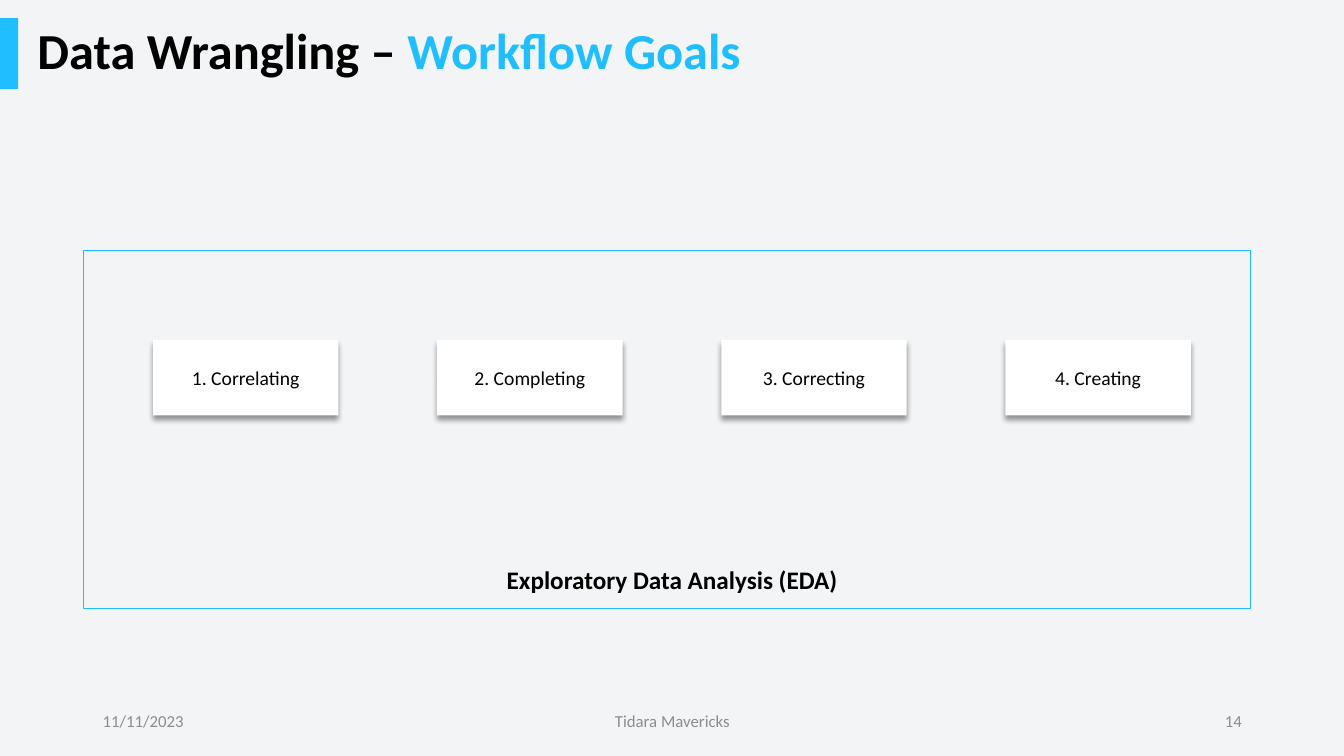
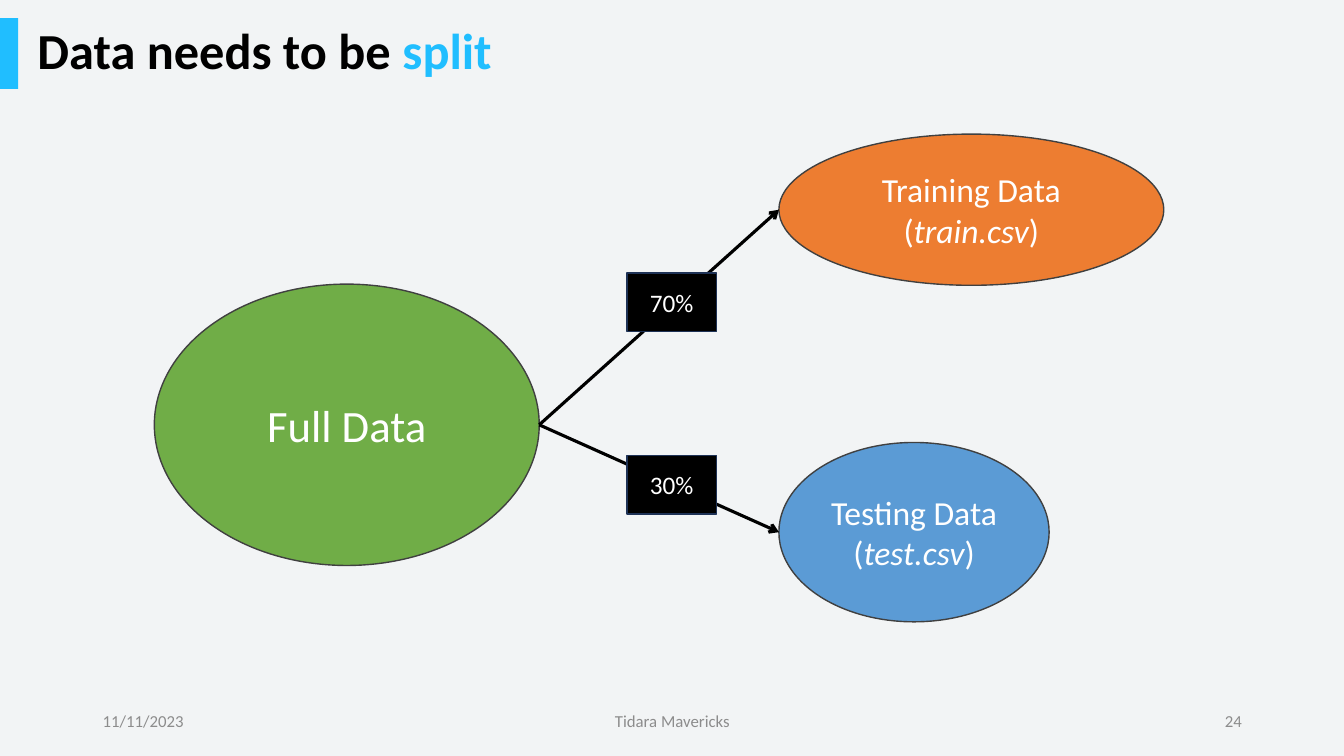
from dataclasses import dataclass

from lxml.etree import SubElement
from pptx import Presentation
from pptx.dml.color import RGBColor
from pptx.enum.shapes import MSO_CONNECTOR, MSO_SHAPE
from pptx.enum.text import MSO_ANCHOR, MSO_AUTO_SIZE, PP_ALIGN
from pptx.oxml.ns import qn
from pptx.util import Cm, Pt


@dataclass(frozen=True)
class Theme:
    """Colours, font and type sizes shared by the slides."""
    font: str = "Calibri"
    background: str = "F2F4F5"
    accent: str = "20BEFF"
    black: str = "000000"
    white: str = "FFFFFF"
    muted: str = "8C8C8C"
    outline: str = "404040"
    tag_line: str = "1E3256"
    full: str = "70AD47"
    training: str = "ED7D31"
    testing: str = "5B9BD5"
    title_size: int = 36
    hero_size: int = 32
    node_size: int = 24
    label_size: int = 18
    step_size: int = 14
    footer_size: int = 12


class Deck:
    """Holds the style and the current slide, and adds elements to it."""

    def __init__(self, theme):
        """Start a wide presentation with the theme's background."""
        self.theme = theme
        self.prs = Presentation()
        self.prs.slide_width, self.prs.slide_height = Cm(33.87), Cm(19.05)
        fill = self.prs.slide_master.background.fill
        fill.solid()
        fill.fore_color.rgb = RGBColor.from_string(theme.background)
        self.slide = None

    def fill_text(self, tf, paragraphs, size, color, align=PP_ALIGN.CENTER, **base):
        """Fill a text frame; each paragraph is a list of (text, format) runs."""
        tf.word_wrap = True
        for i, runs in enumerate(paragraphs):
            p = tf.add_paragraph() if i else tf.paragraphs[0]
            p.alignment = align
            for text, extra in runs:
                r = p.add_run()
                r.text = text
                values = {"name": self.theme.font, "size": Pt(size),
                          "color": color, **base, **extra}
                r.font.color.rgb = RGBColor.from_string(values.pop("color"))
                for name, value in values.items():
                    setattr(r.font, name, value)

    def new_slide(self, title, highlight, number):
        """Add a slide with its two-colour title, band and footer."""
        t = self.theme
        self.slide = self.prs.slides.add_slide(self.prs.slide_layouts[5])
        sp = self.slide.shapes.title
        box = {"left": Cm(0.69), "top": Cm(0.46),
               "width": Cm(26.24), "height": Cm(1.78)}
        for name, value in box.items():
            setattr(sp, name, value)
        tf = sp.text_frame
        self.fill_text(tf, [[(title, {}), (highlight, {"color": t.accent})]],
                       t.title_size, t.black, PP_ALIGN.LEFT, bold=True)
        tf.auto_size = MSO_AUTO_SIZE.NONE
        tf.vertical_anchor = MSO_ANCHOR.MIDDLE
        tf.paragraphs[0].line_spacing = 0.9
        footers = [(2.34, 7.62, "11/11/2023", PP_ALIGN.LEFT),
                   (11.23, 11.43, "Tidara Mavericks", PP_ALIGN.CENTER),
                   (23.93, 7.62, number, PP_ALIGN.RIGHT)]
        for x, width, text, align in footers:
            footer = self.text((x, 17.65, width, 1.02), text, t.footer_size,
                               t.muted, align=align)
            footer.text_frame.vertical_anchor = MSO_ANCHOR.MIDDLE
        self.shape(MSO_SHAPE.RECTANGLE, (0, 0.46, 0.46, 1.78), fill=t.accent)

    def group(self):
        """Add an empty group and return its shapes."""
        return self.slide.shapes.add_group_shape().shapes

    def text(self, box, text, size, color, into=None, **fmt):
        """Add a text box with one run."""
        sp = (into or self.slide.shapes).add_textbox(*map(Cm, box))
        self.fill_text(sp.text_frame, [[(text, {})]], size, color, **fmt)
        return sp

    def shape(self, kind, box, fill=None, line=None, into=None):
        """Add a preset shape; no colour means no fill or no line."""
        # An empty group is falsy, so compare with None.
        shapes = self.slide.shapes if into is None else into
        sp = shapes.add_shape(kind, *map(Cm, box))
        sp.shadow.inherit = False
        for part, color in ((sp.fill, fill), (sp.line.fill, line)):
            if color:
                part.solid()
                part.fore_color.rgb = RGBColor.from_string(color)
            else:
                part.background()
        if line:
            sp.line.width = Pt(1)
        return sp

    def card(self, box, text, into):
        """Add a white card with a soft shadow below it."""
        t = self.theme
        sp = self.shape(MSO_SHAPE.RECTANGLE, box, fill=t.white, into=into)
        effects = sp._element.spPr.find(qn("a:effectLst"))
        shadow = SubElement(effects, qn("a:outerShdw"), blurRad=str(Pt(4)),
                            dist=str(Pt(3)), dir="5400000", rotWithShape="0")
        color = SubElement(shadow, qn("a:srgbClr"), val=t.black)
        SubElement(color, qn("a:alpha"), val="40000")
        self.fill_text(sp.text_frame, [[(text, {})]], t.step_size, t.black)

    def node(self, box, paragraphs, size, fill):
        """Add an outlined ellipse with white text."""
        sp = self.shape(MSO_SHAPE.OVAL, box, fill, self.theme.outline)
        self.fill_text(sp.text_frame, paragraphs, size, self.theme.white)
        return sp

    def tag(self, box, text):
        """Add a black label."""
        t = self.theme
        sp = self.shape(MSO_SHAPE.RECTANGLE, box, t.black, t.tag_line)
        self.fill_text(sp.text_frame, [[(text, {})]], t.label_size, t.white)

    def arrow(self, source, target):
        """Draw an arrow from the right of one shape to the left of another."""
        cxn = self.slide.shapes.add_connector(
            MSO_CONNECTOR.STRAIGHT,
            source.left + source.width, source.top + source.height // 2,
            target.left, target.top + target.height // 2)
        cxn.line.color.rgb = RGBColor.from_string(self.theme.black)
        cxn.line.width = Pt(2.25)
        props = cxn._element.spPr
        SubElement(props.find(qn("a:ln")), qn("a:tailEnd"), type="arrow")
        SubElement(props, qn("a:effectLst"))


def workflow_slide(deck):
    """Build the four workflow goals inside the EDA frame."""
    t = deck.theme
    deck.new_slide("Data Wrangling – ", "Workflow Goals", "14")
    eda = deck.group()
    deck.shape(MSO_SHAPE.RECTANGLE, (2.11, 6.32, 29.41, 9.02),
               line=t.accent, into=eda)
    caption = deck.text((11.99, 14.1, 9.9, 1.02),
                        "Exploratory Data Analysis (EDA)",
                        t.label_size, t.black, into=eda, bold=True)
    caption.text_frame.auto_size = MSO_AUTO_SIZE.SHAPE_TO_FIT_TEXT
    steps = deck.group()
    goals = ("Correlating", "Completing", "Correcting", "Creating")
    for i, goal in enumerate(goals):
        deck.card((3.86 + 7.16 * i, 8.56, 4.67, 1.91), f"{i + 1}. {goal}", steps)


def split_slide(deck):
    """Build the split of the full data into training and testing sets."""
    t = deck.theme
    deck.new_slide("Data needs to be ", "split", "24")
    full = deck.node((3.89, 7.16, 9.7, 7.09), [[("Full Data", {})]],
                     t.hero_size, t.full)
    subsets = [((19.63, 3.38, 9.7, 3.81), "Training Data", "train.csv", t.training),
               ((19.63, 11.15, 6.81, 4.52), "Testing Data", "test.csv", t.testing)]
    nodes = [deck.node(box, [[(name, {})],
                             [("(", {}), (file, {"italic": True}), (")", {})]],
                       t.node_size, fill)
             for box, name, file, fill in subsets]
    for node in nodes:
        deck.arrow(full, node)
    for y, share in ((6.88, "70%"), (11.48, "30%")):
        deck.tag((15.8, y, 2.26, 1.47), share)


deck = Deck(Theme())
workflow_slide(deck)
split_slide(deck)
deck.prs.save("out.pptx")
